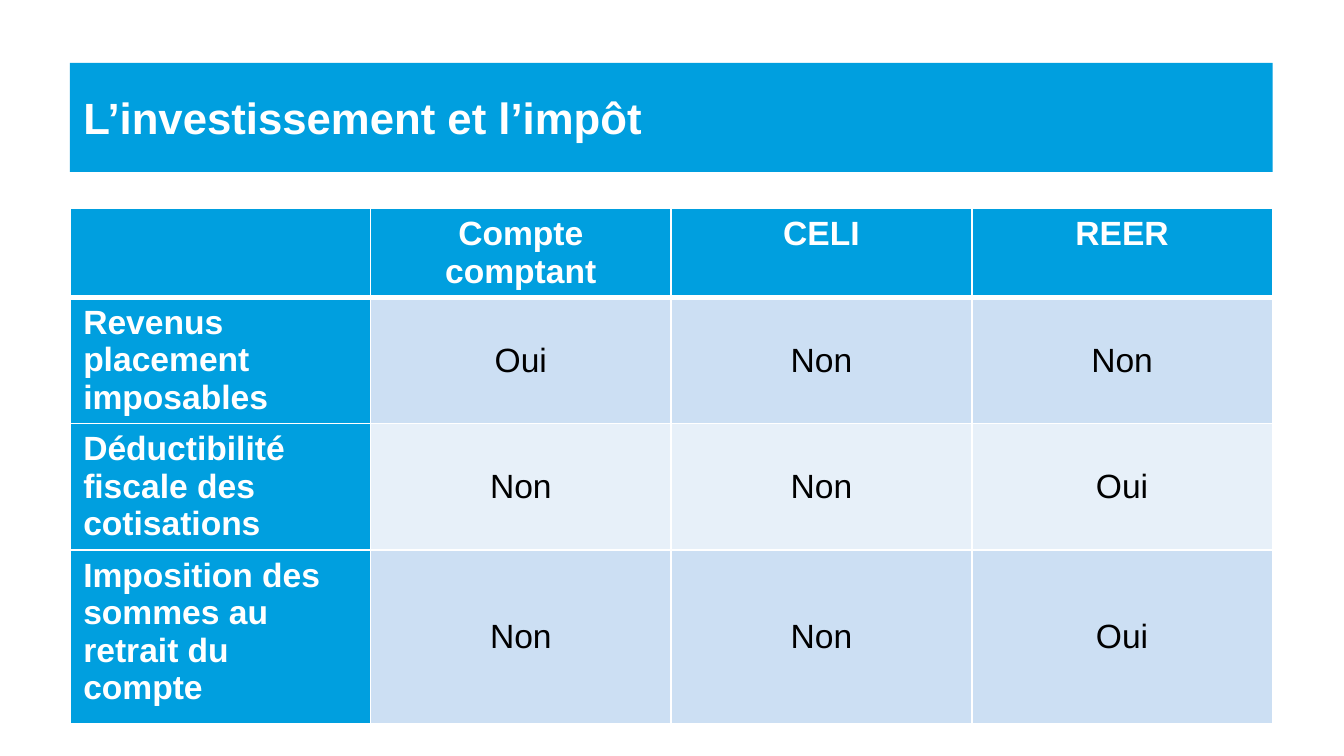
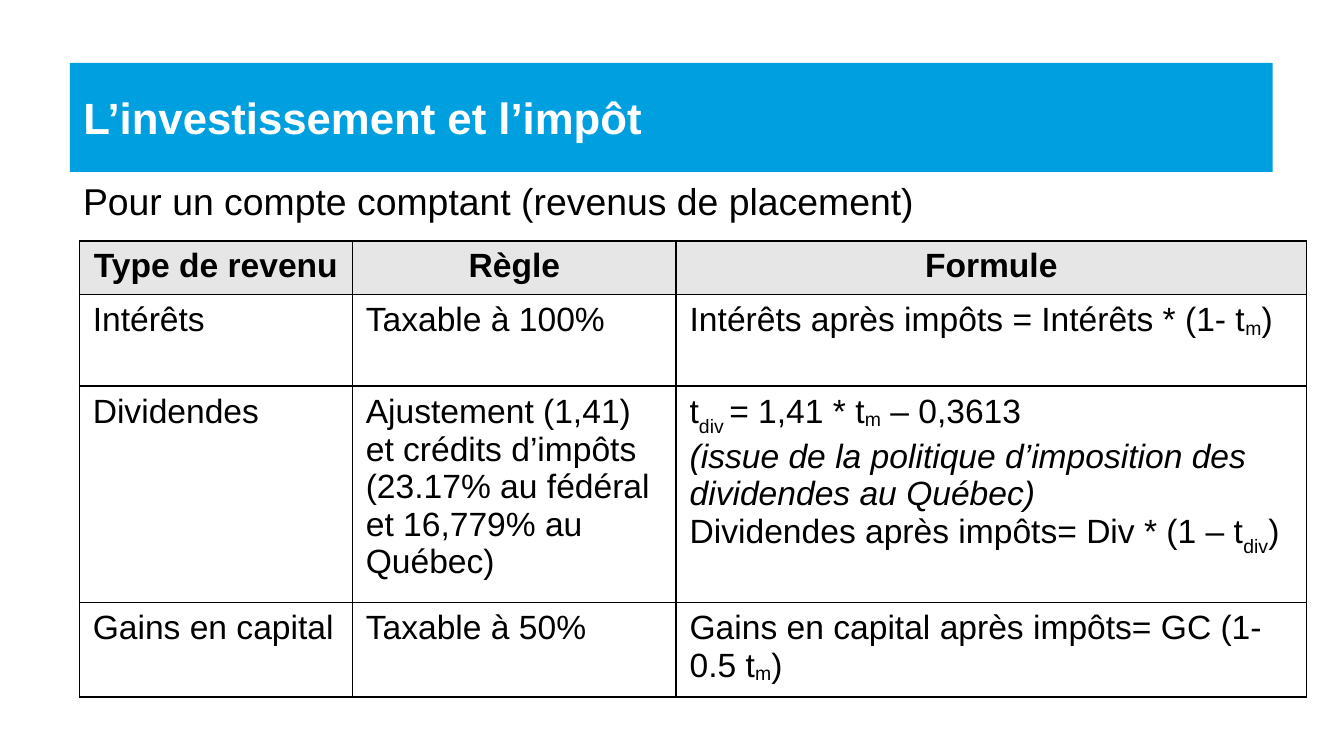
"""Build two slides on investment accounts, investment income and tax."""
import lxml.etree
import pptx
import pptx.dml.color
import pptx.enum.text
import pptx.oxml.ns
import pptx.util

Cm, Pt = pptx.util.Cm, pptx.util.Pt
ALIGN, ANCHOR = pptx.enum.text.PP_ALIGN, pptx.enum.text.MSO_ANCHOR
COLORS = {"blue": "009FDF", "white": "FFFFFF", "black": "000000",
          "pale": "CCDFF3", "paler": "E7F0F9", "grey": "E6E6E6"}
FONT = "Arial"
MARGIN, BODY_WIDTH = 1.32, 22.73
TITLE = "L’investissement et l’impôt"
BODY = {"size": Pt(18), "name": FONT, "bold": False}
BOLD = {**BODY, "bold": True}
ITALIC = {"italic": True}
SUB_M = ("m", {"baseline": -10})

ACCOUNTS = [
    ["", "Compte comptant", "CELI", "REER"],
    ["Revenus placement imposables", "Oui", "Non", "Non"],
    ["Déductibilité fiscale des cotisations", "Non", "Non", "Oui"],
    ["Imposition des sommes au retrait du compte", "Non", "Non", "Oui"],
]
INCOME = [
    ["Type de revenu", "Règle", "Formule"],
    ["Intérêts", "Taxable à 100%",
     [["Intérêts après impôts = Intérêts * (1- t", SUB_M, ")"]]],
    ["Dividendes",
     "Ajustement (1,41) et crédits d’impôts (23.17% au fédéral et 16,779% au Québec)",
     [["t", ("div ", {"baseline": -30}), "= 1,41 * t", SUB_M, " – 0,3613"],
      [("(issue de la politique d’imposition des dividendes au Québec)", ITALIC)],
      ["Dividendes après impôts= Div * (1 – t", ("div", {"baseline": -30}), ")"]]],
    ["Gains en capital", "Taxable à 50%",
     [["Gains en capital après impôts= GC (1-0.5 t", SUB_M, ")"]]],
]


def rgb(name):
    """Return the palette colour of that name."""
    return pptx.dml.color.RGBColor.from_string(COLORS[name])


def set_fill(obj, color):
    """Fill a shape or cell, or leave it clear when there is no colour."""
    if color:
        obj.fill.solid()
        obj.fill.fore_color.rgb = rgb(color)
    else:
        obj.fill.background()


def add_run(p, text, color, fmt):
    """Add a run, with its baseline shift given in percent."""
    r = p.add_run()
    r.text = text
    for key, value in fmt.items():
        if key == "baseline":
            r.font._element.set(key, str(value * 1000))
        else:
            setattr(r.font, key, value)
    r.font.color.rgb = rgb(color)


def write(tf, content, color, fmt, align=ALIGN.LEFT):
    """Write a string or a list of paragraphs made of runs."""
    paragraphs = [[content]] if isinstance(content, str) else content
    for i, runs in enumerate(paragraphs):
        p = tf.add_paragraph() if i else tf.paragraphs[0]
        p.alignment = align
        for run in runs:
            text, extra = (run, {}) if isinstance(run, str) else run
            if text:
                add_run(p, text, color, {**fmt, **extra})


def set_borders(cell, color, widths):
    """Draw the left, right, top and bottom borders of a cell."""
    qn = pptx.oxml.ns.qn
    tcPr = cell._tc.get_or_add_tcPr()
    for side, width in zip("LRTB", widths):
        ln = lxml.etree.SubElement(tcPr, qn(f"a:ln{side}"), w=str(Pt(width)))
        fill = lxml.etree.SubElement(ln, qn("a:solidFill"))
        lxml.etree.SubElement(fill, qn("a:srgbClr"), val=COLORS[color])


def add_title_slide(prs):
    """Add a slide with the blue title band."""
    s = prs.slides.add_slide(prs.slide_layouts[5])
    sp = s.shapes.title
    sp.left, sp.top, sp.width, sp.height = map(Cm, (MARGIN, 1.19, BODY_WIDTH, 2.06))
    set_fill(sp, "blue")
    tf = sp.text_frame
    for key, value in {"word_wrap": True, "vertical_anchor": ANCHOR.MIDDLE,
                       "auto_size": pptx.enum.text.MSO_AUTO_SIZE.NONE}.items():
        setattr(tf, key, value)
    write(tf, TITLE, "white", {**BOLD, "size": Pt(23.4)})
    return s


def add_text(s, text, left, top, width, height):
    """Add a wrapped line of body text."""
    sp = s.shapes.add_textbox(*map(Cm, (left, top, width, height)))
    sp.text_frame.word_wrap = True
    write(sp.text_frame, text, "black", {**BODY, "size": Pt(20)})


def add_table(s, data, left, top, widths, heights, style):
    """Add a table whose cells are formatted by the style function."""
    size = map(Cm, (left, top, sum(widths), sum(heights)))
    table = s.shapes.add_table(len(data), len(widths), *size).table
    table.horz_banding = False
    for col, width in zip(table.columns, widths):
        col.width = Cm(width)
    for i, (row, height) in enumerate(zip(data, heights)):
        table.rows[i].height = Cm(height)
        for j, content in enumerate(row):
            cell = table.cell(i, j)
            look = style(i, j, content)
            set_borders(cell, look["line"], look["widths"])
            set_fill(cell, look["fill"])
            cell.vertical_anchor = look["anchor"]
            write(cell.text_frame, content, look["color"], look["fmt"], look["align"])


def account_style(i, j, content):
    """Style blue headings on two sides and banded answers."""
    heading = i == 0 or j == 0
    return {"line": "white", "widths": (1, 1, 3 if i == 1 else 1, 3 if i == 0 else 1),
            "fill": "blue" if heading else "pale" if i % 2 else "paler",
            "color": "white" if heading else "black",
            "fmt": BOLD if heading else BODY,
            "anchor": ANCHOR.TOP if heading else ANCHOR.MIDDLE,
            "align": ALIGN.LEFT if j == 0 else ALIGN.CENTER}


def income_style(i, j, content):
    """Style a grey heading row over a plain black grid."""
    short = isinstance(content, str) and len(content) < 20
    return {"line": "black", "widths": (1, 1, 1, 1), "color": "black",
            "fill": None if i else "grey", "fmt": BODY if i else BOLD,
            "anchor": ANCHOR.TOP,
            "align": ALIGN.CENTER if i == 0 else ALIGN.JUSTIFY if short else ALIGN.LEFT}


def main():
    """Build and save the slides."""
    prs = pptx.Presentation()
    prs.slide_width, prs.slide_height = Cm(25.4), Cm(14.29)

    s = add_title_slide(prs)
    add_table(s, ACCOUNTS, MARGIN, 3.94, [BODY_WIDTH / 4] * 4,
              [1.32, 2.29, 2.29, 3.28], account_style)

    s = add_title_slide(prs)
    add_text(s, "Pour un compte comptant (revenus de placement)",
             MARGIN, 3.25, BODY_WIDTH, 8.66)
    add_table(s, INCOME, 1.5, 4.55, [5.16, 6.12, 11.91],
              [1.02, 1.73, 4.09, 1.78], income_style)

    prs.save("out.pptx")


if __name__ == "__main__":
    main()
